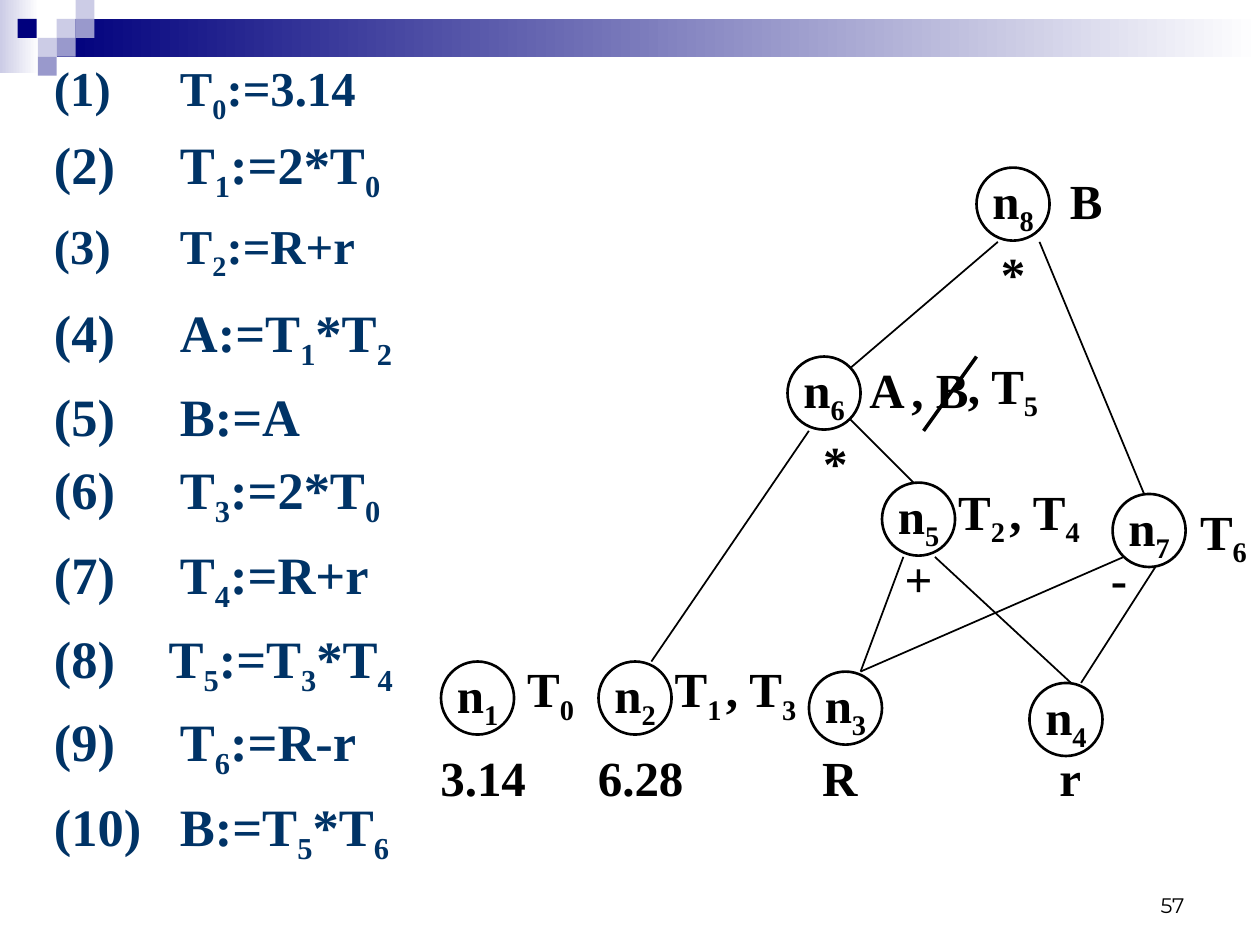
from pptx import Presentation
from pptx.dml.color import RGBColor
from pptx.enum.shapes import MSO_CONNECTOR as Link, MSO_SHAPE as Kind
from pptx.enum.text import MSO_ANCHOR as Anchor, PP_ALIGN as Align
from pptx.oxml.ns import qn
from pptx.util import Inches, Pt
from lxml.etree import SubElement as add_node

BLACK = RGBColor(0, 0, 0)
WHITE = RGBColor(0xFF, 0xFF, 0xFF)
INK = RGBColor(0x00, 0x33, 0x66)
NAVY = RGBColor(0x00, 0x00, 0x7D)
PALE = RGBColor(0xCC, 0xCC, 0xE6)
MID = RGBColor(0x99, 0x99, 0xCC)

SERIF = "Times New Roman"
SIDE = 0.15
ROUND = 0.58

BANDS = [(0, 0, 0.31, 0.58, PALE), (0.45, 0.15, 9.55, 0.3, NAVY)]
TILES = [
    (0.45, 0.15, PALE), (0.6, 0, PALE), (0.6, 0.15, MID), (0.3, 0.3, PALE),
    (0.14, 0.15, NAVY), (0.45, 0.3, MID), (0.3, 0.45, MID),
]
STEPS = [
    (0.42, 3.08, 0.67, "(1) \tT_0:=3.14"),
    (1, 3, 0.75, "(2) \tT_1:=2*T_0"),
    (1.67, 2.92, 0.67, "(3) \tT_2:=R+r"),
    (2.33, 3, 0.75, "(4) \tA:=T_1*T_2"),
    (3, 2.83, 0.67, "(5) \tB:=A"),
    (3.58, 3, 0.75, "(6) \tT_3:=2*T_0"),
    (4.25, 3.17, 0.83, "(7) \tT_4:=R+r"),
    (4.92, 3.33, 0.83, "(8) \tT_5:=T_3*T_4"),
    (5.58, 3, 0.75, "(9) \tT_6:=R-r"),
    (6.25, 3, 0.83, "(10)\tB:=T_5*T_6"),
]
TIGHT = (0, 2)
SHORT_TAB = 7
NODES = [
    (3.5, 5.25), (4.75, 5.25), (6.42, 5.33), (8.17, 5.42),
    (7, 3.83), (6.25, 2.83), (8.83, 3.92), (7.75, 1.33),
]
EDGES = [
    (7.17, 4.42, 6.83, 5.33), (7.42, 4.42, 8.5, 5.42),
    (6.42, 3.42, 5.17, 5.25), (6.75, 3.33, 7.25, 3.83),
    (6.83, 5.33, 8.92, 4.42), (8.58, 5.42, 9.17, 4.5),
    (7.92, 1.92, 6.75, 2.92), (8.25, 1.92, 9.08, 3.92),
]
STRIKE = (7.75, 2.83, 7.33, 3.42)
LEAVES = [(3.42, "3.14"), (4.67, "6.28"), (6.25, "R"), (8.08, "r")]
SIGNS = [(7.08, 4.42, "+"), (6.42, 3.5, "*"), (8.67, 4.42, "-"), (7.83, 2, "*")]
TAGS = [
    (4.08, 5.33, "T_0"), (5.25, 5.33, "T_1"), (5.75, 5.33, ", T_3"),
    (7.5, 3.92, "T_2"), (8, 3.92, ", T_4"), (6.75, 2.92, "A"),
    (7.17, 2.92, ", B"), (7.67, 2.92, ", T_5"), (8.33, 1.42, "B"),
    (9.42, 4.08, "T_6"),
]


def set_font(para, size, color, name=SERIF, bold=True):
    font = para.font
    font.name, font.size, font.bold = name, Pt(size), bold
    font.color.rgb = color


def add_runs(para, text):
    first, *rest = text.split("_")
    para.add_run().text = first
    for part in rest:
        low = para.add_run()
        low.text = part[0]
        low.font._element.set("baseline", "-25000")
        if part[1:]:
            para.add_run().text = part[1:]


def add_box(slide, x, y, w, h):
    return slide.shapes.add_textbox(Inches(x), Inches(y), Inches(w), Inches(h))


def add_rect(slide, x, y, w, h):
    rect = slide.shapes.add_shape(
        Kind.RECTANGLE, Inches(x), Inches(y), Inches(w), Inches(h))
    rect.shadow.inherit = False
    rect.line.fill.background()
    return rect


def add_band(slide, x, y, w, h, color):
    fill = add_rect(slide, x, y, w, h).fill
    fill.gradient()
    fill.gradient_angle = 0
    for stop, tone in zip(fill.gradient_stops, (color, WHITE)):
        stop.color.rgb = tone


def add_tile(slide, x, y, color):
    fill = add_rect(slide, x, y, SIDE, SIDE).fill
    fill.solid()
    fill.fore_color.rgb = color


def add_step(slide, y, w, h, text, tight, tab):
    frame = add_box(slide, 0.33, y, w, h).text_frame
    frame.word_wrap = True
    para = frame.paragraphs[0]
    tabs = add_node(para._p.get_or_add_pPr(), qn("a:tabLst"))
    add_node(tabs, qn("a:tab"), pos=str(Inches(tab)), algn="l")
    if tight:
        para.line_spacing = 0.9
    set_font(para, 27.8 if tight else 30, INK)
    add_runs(para, text)


def fill_label(shape, text):
    frame = shape.text_frame
    frame.word_wrap = False
    frame.margin_left = frame.margin_right = 0
    frame.vertical_anchor = Anchor.MIDDLE
    para = frame.paragraphs[0]
    para.alignment = Align.CENTER
    set_font(para, 28, BLACK)
    add_runs(para, text)


def add_label(slide, x, y, w, text):
    fill_label(add_box(slide, x, y, w, 0.33), text)


def add_circle(slide, x, y, text):
    disc = slide.shapes.add_shape(
        Kind.OVAL, Inches(x), Inches(y), Inches(ROUND), Inches(ROUND))
    disc.shadow.inherit = False
    disc.fill.background()
    disc.line.color.rgb = BLACK
    disc.line.width = Pt(1.5)
    fill_label(disc, text)


def add_edge(slide, ends, width):
    edge = slide.shapes.add_connector(Link.STRAIGHT, *map(Inches, ends))
    edge.line.color.rgb = BLACK
    edge.line.width = Pt(width)
    add_node(edge._element.spPr, qn("a:effectLst"))


def add_page(slide, text):
    frame = add_box(slide, 7.17, 6.83, 2.33, 0.5).text_frame
    frame.word_wrap = True
    frame.vertical_anchor = Anchor.BOTTOM
    para = frame.paragraphs[0]
    para.alignment = Align.RIGHT
    set_font(para, 12, BLACK, "Montserrat", False)
    add_runs(para, text)


def main():
    deck = Presentation()
    deck.slide_width, deck.slide_height = Inches(10), Inches(7.5)
    slide = deck.slides.add_slide(deck.slide_layouts[6])
    for band in BANDS:
        add_band(slide, *band)
    for tile in TILES:
        add_tile(slide, *tile)
    for i, step in enumerate(STEPS):
        add_step(slide, *step, i in TIGHT, 0.91 if i == SHORT_TAB else 1)
    for i, (x, y) in enumerate(NODES, 1):
        add_circle(slide, x, y, f"n_{i}")
    for edge in EDGES:
        add_edge(slide, edge, 1)
    for x, text in LEAVES:
        add_label(slide, x, 6, 0.83, text)
    for x, y, text in SIGNS:
        add_label(slide, x, y, 0.42, text)
    for x, y, text in TAGS:
        add_label(slide, x, y, 0.58, text)
    add_edge(slide, STRIKE, 2)
    add_page(slide, "57")
    deck.save("out.pptx")


if __name__ == "__main__":
    main()
